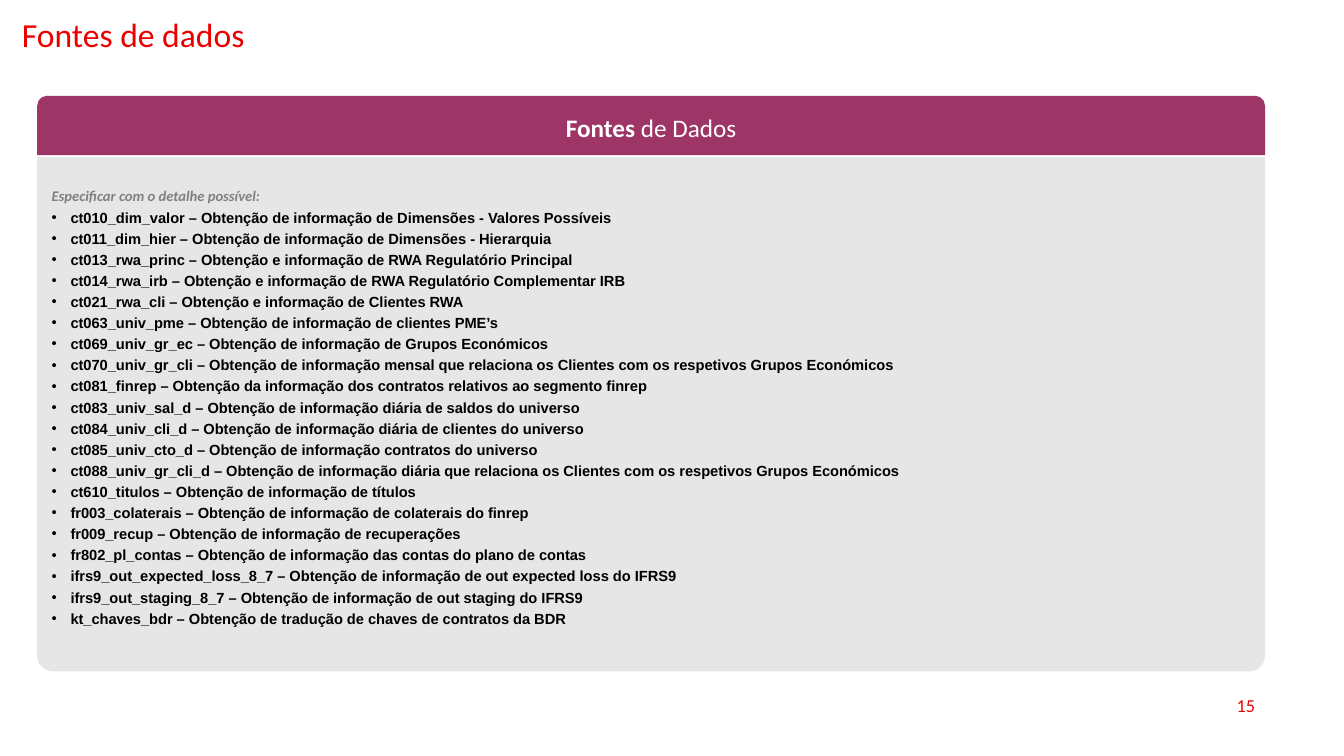
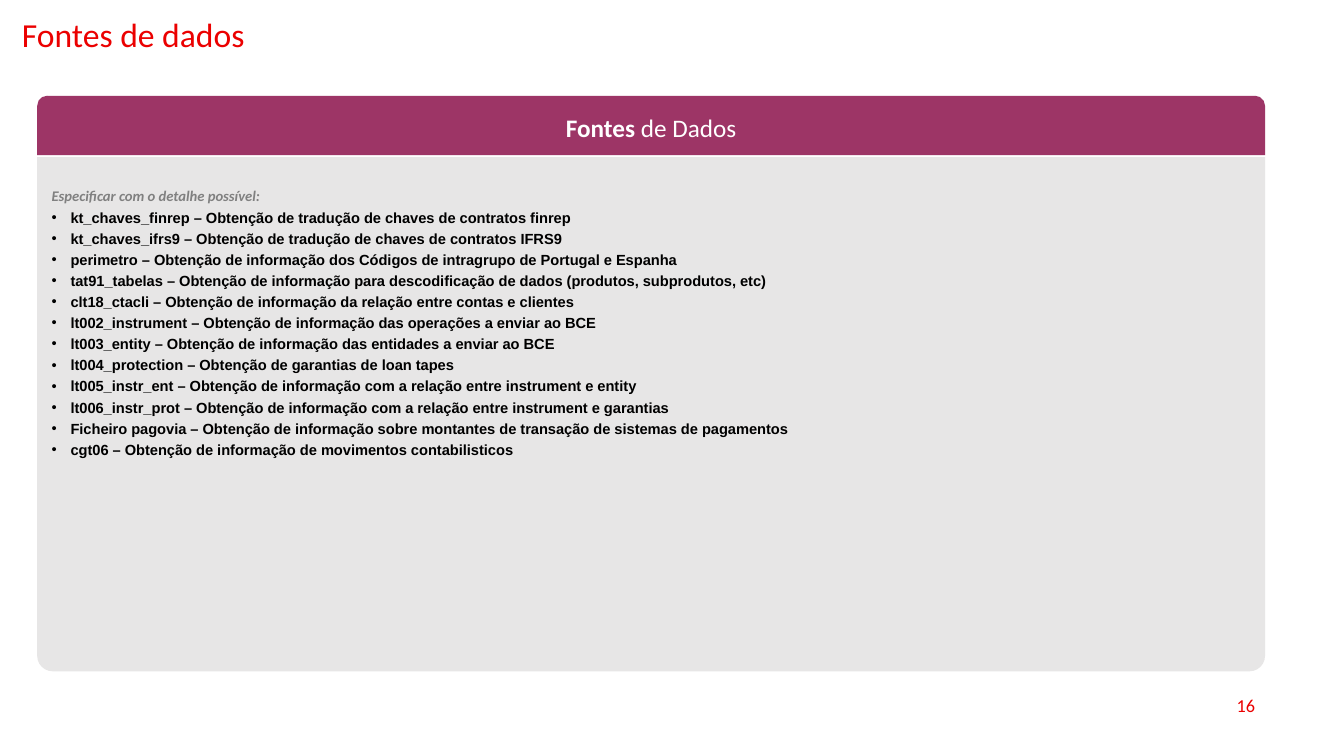
import pptx
import pptx.util
import pptx.dml.color
import pptx.enum.shapes
import pptx.enum.text
import lxml.etree

Pt = pptx.util.Pt
ROUND = pptx.enum.shapes.MSO_SHAPE.ROUND_2_SAME_RECTANGLE
ALIGN = pptx.enum.text.PP_ALIGN
ANCHOR = pptx.enum.text.MSO_ANCHOR

COLORS = {
    "red": "EB0000",
    "plum": "9D3566",
    "panel": "E7E6E6",
    "hint": "808080",
    "white": "FFFFFF",
    "black": "000000",
}
LEFT, WIDTH = 26.6, 877
INDENT = 13.5
FIRST = 15

SOURCES = [
    [
        "ct010_dim_valor – Obtenção de informação de Dimensões - Valores Possíveis",
        "ct011_dim_hier – Obtenção de informação de Dimensões - Hierarquia",
        "ct013_rwa_princ – Obtenção e informação de RWA Regulatório Principal",
        "ct014_rwa_irb – Obtenção e informação de RWA Regulatório Complementar IRB",
        "ct021_rwa_cli – Obtenção e informação de Clientes RWA",
        "ct063_univ_pme – Obtenção de informação de clientes PME’s",
        "ct069_univ_gr_ec – Obtenção de informação de Grupos Económicos",
        "ct070_univ_gr_cli – Obtenção de informação mensal que relaciona os Clientes com os respetivos Grupos Económicos",
        "ct081_finrep – Obtenção da informação dos contratos relativos ao segmento finrep",
        "ct083_univ_sal_d – Obtenção de informação diária de saldos do universo",
        "ct084_univ_cli_d – Obtenção de informação diária de clientes do universo",
        "ct085_univ_cto_d – Obtenção de informação contratos do universo",
        "ct088_univ_gr_cli_d – Obtenção de informação diária que relaciona os Clientes com os respetivos Grupos Económicos",
        "ct610_titulos – Obtenção de informação de títulos",
        "fr003_colaterais – Obtenção de informação de colaterais do finrep",
        "fr009_recup – Obtenção de informação de recuperações",
        "fr802_pl_contas – Obtenção de informação das contas do plano de contas",
        "ifrs9_out_expected_loss_8_7 – Obtenção de informação de out expected loss do IFRS9",
        "ifrs9_out_staging_8_7 – Obtenção de informação de out staging do IFRS9",
        "kt_chaves_bdr – Obtenção de tradução de chaves de contratos da BDR",
    ],
    [
        "kt_chaves_finrep – Obtenção de tradução de chaves de contratos finrep",
        "kt_chaves_ifrs9 – Obtenção de tradução de chaves de contratos IFRS9",
        "perimetro – Obtenção de informação dos Códigos de intragrupo de Portugal e Espanha",
        "tat91_tabelas – Obtenção de informação para descodificação de dados (produtos, subprodutos, etc)",
        "clt18_ctacli – Obtenção de informação da relação entre contas e clientes",
        "lt002_instrument – Obtenção de informação das operações a enviar ao BCE",
        "lt003_entity – Obtenção de informação das entidades a enviar ao BCE",
        "lt004_protection – Obtenção de garantias de loan tapes",
        "lt005_instr_ent – Obtenção de informação com a relação entre instrument e entity",
        "lt006_instr_prot – Obtenção de informação com a relação entre instrument e garantias",
        "Ficheiro pagovia – Obtenção de informação sobre montantes de transação de sistemas de pagamentos",
        "cgt06 – Obtenção de informação de movimentos contabilisticos",
    ],
]


def add_run(para, text, size, color, bold=False, italic=False, face="Calibri"):
    run = para.add_run()
    run.text = text
    font = run.font
    font.name, font.size = face, Pt(size)
    font.bold, font.italic = bold, italic
    font.color.rgb = pptx.dml.color.RGBColor.from_string(COLORS[color])


def add_box(slide, place, anchor, fill=None):
    """Add a text box, or a round-cornered shape when a fill is given."""
    place = [Pt(n) for n in place]
    if fill:
        box = slide.shapes.add_shape(ROUND, *place)
        box.shadow.inherit = False
        box.fill.solid()
        box.fill.fore_color.rgb = pptx.dml.color.RGBColor.from_string(COLORS[fill])
        box.line.fill.background()
    else:
        box = slide.shapes.add_textbox(*place)
    box.text_frame.word_wrap = True
    box.text_frame.vertical_anchor = anchor
    return box


deck = pptx.Presentation()
deck.slide_width, deck.slide_height = Pt(960), Pt(540)

for page, items in enumerate(SOURCES, FIRST):
    slide = deck.slides.add_slide(deck.slide_layouts[6])

    title = add_box(slide, (8.6, 9.4, 487, 42.5), ANCHOR.TOP)
    para = title.text_frame.paragraphs[0]
    para.line_spacing = 0.9
    add_run(para, "Fontes de dados", 24, "red")

    number = add_box(slide, (687.6, 489, 216, 28.8), ANCHOR.MIDDLE)
    para = number.text_frame.paragraphs[0]
    para.alignment = ALIGN.RIGHT
    add_run(para, str(page), 13, "red")

    panel = add_box(slide, (LEFT, 112.3, WIDTH, 367.2), ANCHOR.TOP, "panel")
    panel.adjustments[0], panel.adjustments[1] = 0, 0.03
    frame = panel.text_frame
    frame.margin_top = Pt(19)
    para = frame.paragraphs[0]
    para.alignment = ALIGN.LEFT
    para.line_spacing = 1.2
    add_run(para, "Especificar com o detalhe possível:", 10.5, "hint", True, True)
    for item in items:
        para = frame.add_paragraph()
        para.alignment = ALIGN.LEFT
        para.line_spacing = 1.2
        props = para._p.get_or_add_pPr()
        props.set("marL", str(Pt(INDENT)))
        props.set("indent", str(-Pt(INDENT)))
        space = props.nsmap["a"]
        font = lxml.etree.SubElement(props, f"{{{space}}}buFont")
        font.set("typeface", "Arial")
        mark = lxml.etree.SubElement(props, f"{{{space}}}buChar")
        mark.set("char", "•")
        add_run(para, item, 10.5, "black", True, face="Arial")

    header = add_box(slide, (LEFT, 68.4, WIDTH, 42.5), ANCHOR.MIDDLE, "plum")
    para = header.text_frame.paragraphs[0]
    para.alignment = ALIGN.CENTER
    add_run(para, "Fontes", 18, "white", True)
    add_run(para, " de Dados", 18, "white")

deck.save("out.pptx")
